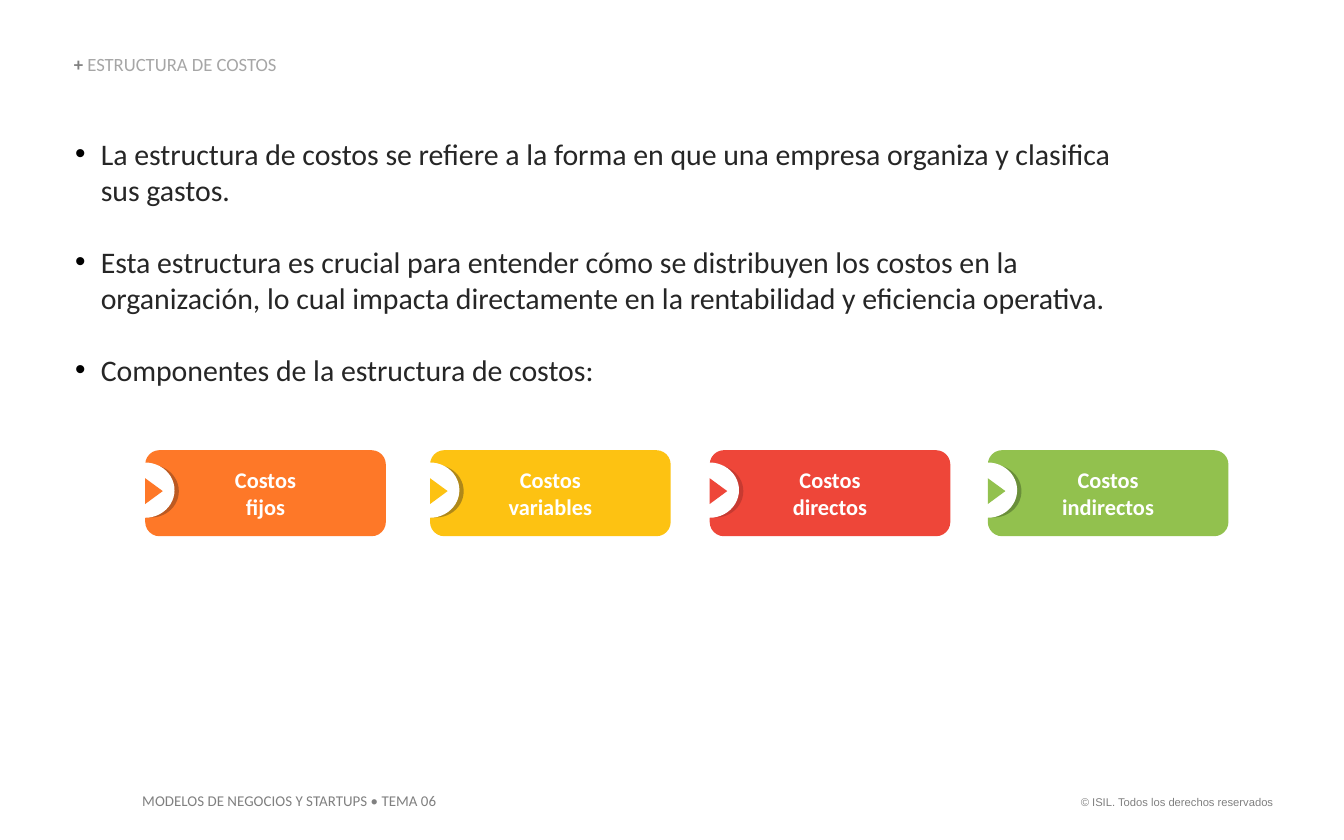
from dataclasses import dataclass

import lxml.etree
import pptx
import pptx.dml.color
import pptx.enum.shapes
import pptx.enum.text
import pptx.oxml.ns
import pptx.util

Pt = pptx.util.Pt
Align = pptx.enum.text.PP_ALIGN
Anchor = pptx.enum.text.MSO_ANCHOR
Preset = pptx.enum.shapes.MSO_SHAPE


@dataclass(frozen=True)
class Theme:
    font: str = "Calibri"
    legal_font: str = "Arial"
    ink: str = "262626"
    bullet: str = "000000"
    white: str = "FFFFFF"
    grey: str = "808080"
    light_grey: str = "A6A6A6"
    body_size: float = 16
    card_size: float = 12
    title_size: float = 10
    footer_size: float = 8
    legal_size: float = 6


THEME = Theme()

POINTS = [
    "La estructura de costos se refiere a la forma en que una empresa organiza y clasifica sus gastos.",
    "Esta estructura es crucial para entender cómo se distribuyen los costos en la organización, "
    "lo cual impacta directamente en la rentabilidad y eficiencia operativa.",
    "Componentes de la estructura de costos:",
]

COSTS = [
    ("fijos", 77.8, "FE7828", "BC5A22"),
    ("variables", 230.4, "FDC212", "AF8819"),
    ("directos", 380.2, "EE4639", "C73A31"),
    ("indirectos", 529.2, "92C14E", "6A8F3A"),
]


def rgb(color):
    return pptx.dml.color.RGBColor.from_string(color)


def style(font, size, color, bold=False, name=THEME.font):
    font.name = name
    font.size = Pt(size)
    font.bold = bold
    font.color.rgb = rgb(color)


def clear_margins(frame):
    frame.margin_left = frame.margin_top = frame.margin_right = frame.margin_bottom = Pt(0)


def add_bullet(paragraph, left, hanging, color):
    properties = paragraph._p.get_or_add_pPr()
    properties.set("marL", str(Pt(left)))
    properties.set("indent", str(-Pt(hanging)))
    qn = pptx.oxml.ns.qn
    bullet_color = lxml.etree.SubElement(properties, qn("a:buClr"))
    lxml.etree.SubElement(bullet_color, qn("a:srgbClr"), val=color)
    lxml.etree.SubElement(properties, qn("a:buFont"), typeface="Arial")
    lxml.etree.SubElement(properties, qn("a:buChar"), char="•")


def place_title(slide, left, top, width, height):
    title = slide.shapes.title
    title.left, title.top, title.width, title.height = Pt(left), Pt(top), Pt(width), Pt(height)
    frame = title.text_frame
    frame.auto_size = pptx.enum.text.MSO_AUTO_SIZE.NONE
    frame.vertical_anchor = Anchor.BOTTOM
    clear_margins(frame)
    heading = frame.paragraphs[0]
    heading.alignment = Align.LEFT
    heading.line_spacing = 0.9
    heading.space_before = Pt(0)
    for words, color, bold in (("+ ", THEME.grey, True), ("ESTRUCTURA DE COSTOS", THEME.light_grey, False)):
        run = heading.add_run()
        run.text = words
        style(run.font, THEME.title_size, color, bold)


def place_points(slide, left, top, width, height):
    frame = slide.shapes.add_textbox(Pt(left), Pt(top), Pt(width), Pt(height)).text_frame
    frame.word_wrap = True
    clear_margins(frame)
    frame.text = "\n".join(POINTS)
    for index, point in enumerate(frame.paragraphs):
        add_bullet(point, 14.4, 13.7, THEME.bullet)
        if index:
            point.space_before = Pt(19.5)
        style(point.runs[0].font, THEME.body_size, THEME.ink)


def add_filled(slide, preset, left, top, width, height, color):
    shape = slide.shapes.add_shape(preset, Pt(left), Pt(top), Pt(width), Pt(height))
    shape.shadow.inherit = False
    shape.fill.solid()
    shape.fill.fore_color.rgb = rgb(color)
    shape.line.fill.background()
    return shape


def place_cost_card(slide, left, top, width, height, cost, color, shade):
    card = add_filled(slide, Preset.ROUNDED_RECTANGLE, left, top, width, height, color)
    card.adjustments[0] = 0.166
    frame = card.text_frame
    frame.word_wrap = True
    frame.vertical_anchor = Anchor.MIDDLE
    label = frame.paragraphs[0]
    label.text = f"Costos\v{cost}"
    label.alignment = Align.CENTER
    for run in label.runs:
        style(run.font, THEME.card_size, THEME.white, True)
    add_filled(slide, Preset.OVAL, left - 11.5, top + 7.9, 29.5, 28.1, shade)
    add_filled(slide, Preset.OVAL, left - 15.8, top + 6.6, 31.5, 29.6, THEME.white)
    arrow = add_filled(slide, Preset.ISOSCELES_TRIANGLE, left - 2.2, top + 17.2, 13.8, 9.4, color)
    arrow.rotation = 90


def place_cost_cards(slide, top, width, height):
    for cost, left, color, shade in COSTS:
        place_cost_card(slide, left, top, width, height, cost, color, shade)


def place_footer(slide, left, top, width, height, words, alignment, size, font):
    frame = slide.shapes.add_textbox(Pt(left), Pt(top), Pt(width), Pt(height)).text_frame
    frame.word_wrap = True
    frame.text = words
    frame.paragraphs[0].alignment = alignment
    style(frame.paragraphs[0].runs[0].font, size, THEME.grey, name=font)


def main():
    deck = pptx.Presentation()
    deck.slide_width, deck.slide_height = Pt(720), Pt(450)
    slide = deck.slides.add_slide(deck.slide_layouts.get_by_name("Title Only"))
    place_title(slide, 39.6, 29.5, 306, 10.8)
    place_points(slide, 39.6, 72.7, 565.2, 135.4)
    place_cost_cards(slide, 241.2, 128.9, 46.1)
    place_footer(slide, 69.1, 420.5, 176.4, 17.3, "MODELOS DE NEGOCIOS Y STARTUPS • TEMA 06",
                 Align.LEFT, THEME.footer_size, THEME.font)
    place_footer(slide, 567.4, 422.6, 121.7, 14.4, "© ISIL. Todos los derechos reservados",
                 Align.RIGHT, THEME.legal_size, THEME.legal_font)
    deck.save("out.pptx")


if __name__ == "__main__":
    main()
